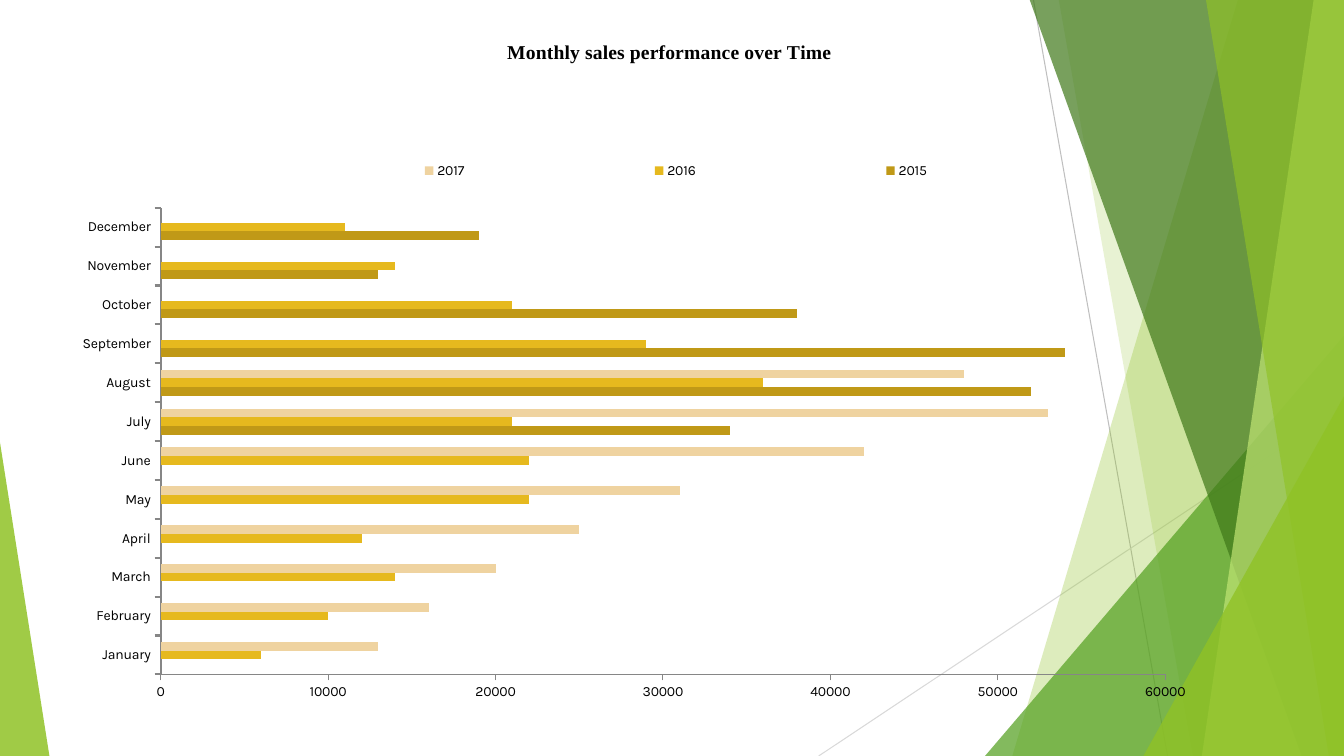
import lxml.etree
import pptx
import pptx.chart.data
import pptx.dml.color
import pptx.enum.chart
import pptx.enum.shapes
import pptx.oxml.ns
import pptx.util

Inches = pptx.util.Inches
RGBColor = pptx.dml.color.RGBColor
qn = pptx.oxml.ns.qn

WIDTH, HEIGHT, BLEED = 13.33, 7.5, -0.01
BLACK = RGBColor(0x00, 0x00, 0x00)
AXIS_GRAY = RGBColor(0x86, 0x86, 0x86)
MID_GRAY = RGBColor(0xBF, 0xBF, 0xBF)
PALE_GRAY = RGBColor(0xD9, 0xD9, 0xD9)
LIME = RGBColor(0x90, 0xC2, 0x26)
GREEN = RGBColor(0x54, 0xA0, 0x21)
FOREST = RGBColor(0x3F, 0x78, 0x19)
PALE_LIME = RGBColor(0xC0, 0xE4, 0x74)
DARK_GOLD = RGBColor(0xC0, 0x99, 0x17)
GOLD = RGBColor(0xE6, 0xB9, 0x1E)
SAND = RGBColor(0xEF, 0xD3, 0xA0)

MONTHS = ["January", "February", "March", "April", "May", "June", "July",
          "August", "September", "October", "November", "December"]
SALES = [
    ("2015", DARK_GOLD, [None] * 6 + [34000, 52000, 54000, 38000, 13000, 19000]),
    ("2016", GOLD, [6000, 10000, 14000, 12000, 22000, 22000,
                    21000, 36000, 29000, 21000, 14000, 11000]),
    ("2017", SAND, [13000, 16000, 20000, 25000,
                    31000, 42000, 53000, 48000] + [None] * 4),
]


def set_values(target, values):
    for key, value in values.items():
        setattr(target, key, value)


def set_font(font, name, size, bold=False):
    set_values(font, {"name": name, "size": pptx.util.Pt(size), "bold": bold})
    font.color.rgb = BLACK


def paint(facet, color, opacity):
    facet.shadow.inherit = False
    facet.fill.solid()
    facet.fill.fore_color.rgb = color
    facet.line.fill.background()
    tint = facet.fill._xPr.find(".//" + qn("a:srgbClr"))
    lxml.etree.SubElement(tint, qn("a:alpha")).set("val", str(opacity * 1000))


def add_ray(slide, start, end, color):
    ray = slide.shapes.add_connector(
        pptx.enum.shapes.MSO_CONNECTOR.STRAIGHT,
        *[Inches(value) for value in start + end])
    ray.line.color.rgb = color
    ray.line.width = pptx.util.Pt(0.75)
    lxml.etree.SubElement(ray._element.spPr, qn("a:effectLst"))


def add_band(slide, top_x, bottom_x, color, opacity):
    corners = [(WIDTH, BLEED), (WIDTH, HEIGHT), (bottom_x, HEIGHT)]
    outline = slide.shapes.build_freeform(Inches(top_x), Inches(BLEED))
    outline.add_line_segments([(Inches(x), Inches(y)) for x, y in corners])
    paint(outline.convert_to_shape(), color, opacity)


def add_wedge(slide, left, top, width, apex, color, opacity):
    wedge = slide.shapes.add_shape(
        pptx.enum.shapes.MSO_SHAPE.ISOSCELES_TRIANGLE, Inches(left),
        Inches(top), Inches(width), Inches(HEIGHT - top))
    wedge.adjustments[0] = apex
    paint(wedge, color, opacity)


def make_layout(frame, inner=False):
    layout = lxml.etree.Element(qn("c:layout"))
    manual = lxml.etree.SubElement(layout, qn("c:manualLayout"))
    settings = [("layoutTarget", "inner")] if inner else []
    settings += [("xMode", "edge"), ("yMode", "edge")]
    settings += zip("xywh", frame)
    for tag, value in settings:
        lxml.etree.SubElement(manual, qn("c:" + tag)).set("val", str(value))
    return layout


def drop_layout(parent):
    for layout in parent.findall(qn("c:layout")):
        parent.remove(layout)


def style_axis(axis, line_width):
    set_values(axis, {
        "has_major_gridlines": False,
        "major_tick_mark": pptx.enum.chart.XL_TICK_MARK.OUTSIDE,
        "minor_tick_mark": pptx.enum.chart.XL_TICK_MARK.NONE,
    })
    axis.format.line.color.rgb = AXIS_GRAY
    axis.format.line.width = pptx.util.Pt(line_width)
    set_font(axis.tick_labels.font, "Karla", 10)


def add_title(chart, text):
    chart.has_title = True
    heading = chart.chart_title.text_frame
    heading.text = text
    set_font(heading.paragraphs[0].runs[0].font, "Times New Roman", 14, True)


def add_legend(chart):
    chart.has_legend = True
    legend = chart.legend
    set_values(legend, {
        "position": pptx.enum.chart.XL_LEGEND_POSITION.RIGHT,
        "include_in_layout": False,
    })
    set_font(legend.font, "Karla", 10)
    drop_layout(legend._element)
    position = legend._element.find(qn("c:legendPos"))
    position.addnext(make_layout((0.17, 0.18, 0.67, 0.06)))


def add_sales_chart(slide):
    sales = pptx.chart.data.CategoryChartData()
    sales.categories = MONTHS
    for year, _, amounts in SALES:
        sales.add_series(year, amounts)
    chart = slide.shapes.add_chart(
        pptx.enum.chart.XL_CHART_TYPE.BAR_CLUSTERED, Inches(0.17),
        Inches(0.15), Inches(12.94), Inches(7.35), sales).chart
    set_font(chart.font, "Karla", 10)
    add_title(chart, "Monthly sales performance over Time")
    add_legend(chart)
    bars = chart.plots[0]
    set_values(bars, {"gap_width": 150, "overlap": 0,
                      "vary_by_categories": False})
    for series, (_, color, _) in zip(bars.series, SALES):
        series.format.fill.solid()
        series.format.fill.fore_color.rgb = color
        series.invert_if_negative = False
    style_axis(chart.category_axis, 1.5)
    style_axis(chart.value_axis, 0.75)
    set_values(chart.value_axis, {
        "minimum_scale": 0, "maximum_scale": 60000, "major_unit": 10000})
    set_values(chart.value_axis.tick_labels, {
        "number_format": "0", "number_format_is_linked": False})
    plot_area = chart._chartSpace.chart.plotArea
    drop_layout(plot_area)
    plot_area.insert(0, make_layout((0.11, 0.26, 0.77, 0.63), inner=True))


def main():
    deck = pptx.Presentation()
    set_values(deck, {"slide_width": Inches(WIDTH),
                      "slide_height": Inches(HEIGHT)})
    slide = deck.slides.add_slide(deck.slide_layouts[6])
    add_ray(slide, (10.25, 0), (11.58, HEIGHT), MID_GRAY)
    add_ray(slide, (WIDTH, 4.03), (8.12, HEIGHT), PALE_GRAY)
    add_band(slide, 12.28, 10.04, LIME, 30)
    add_band(slide, 10.5, 11.83, LIME, 20)
    add_wedge(slide, 9.77, 3.33, 3.56, 1, GREEN, 72)
    add_band(slide, 10.21, 12.91, FOREST, 70)
    add_band(slide, 13.03, 11.92, PALE_LIME, 70)
    add_band(slide, 11.96, 13.18, LIME, 65)
    add_wedge(slide, 11.34, 3.93, 1.99, 1, LIME, 80)
    add_wedge(slide, 0, 4.39, 0.49, 0, LIME, 85)
    add_sales_chart(slide)
    deck.save("out.pptx")


if __name__ == "__main__":
    main()
